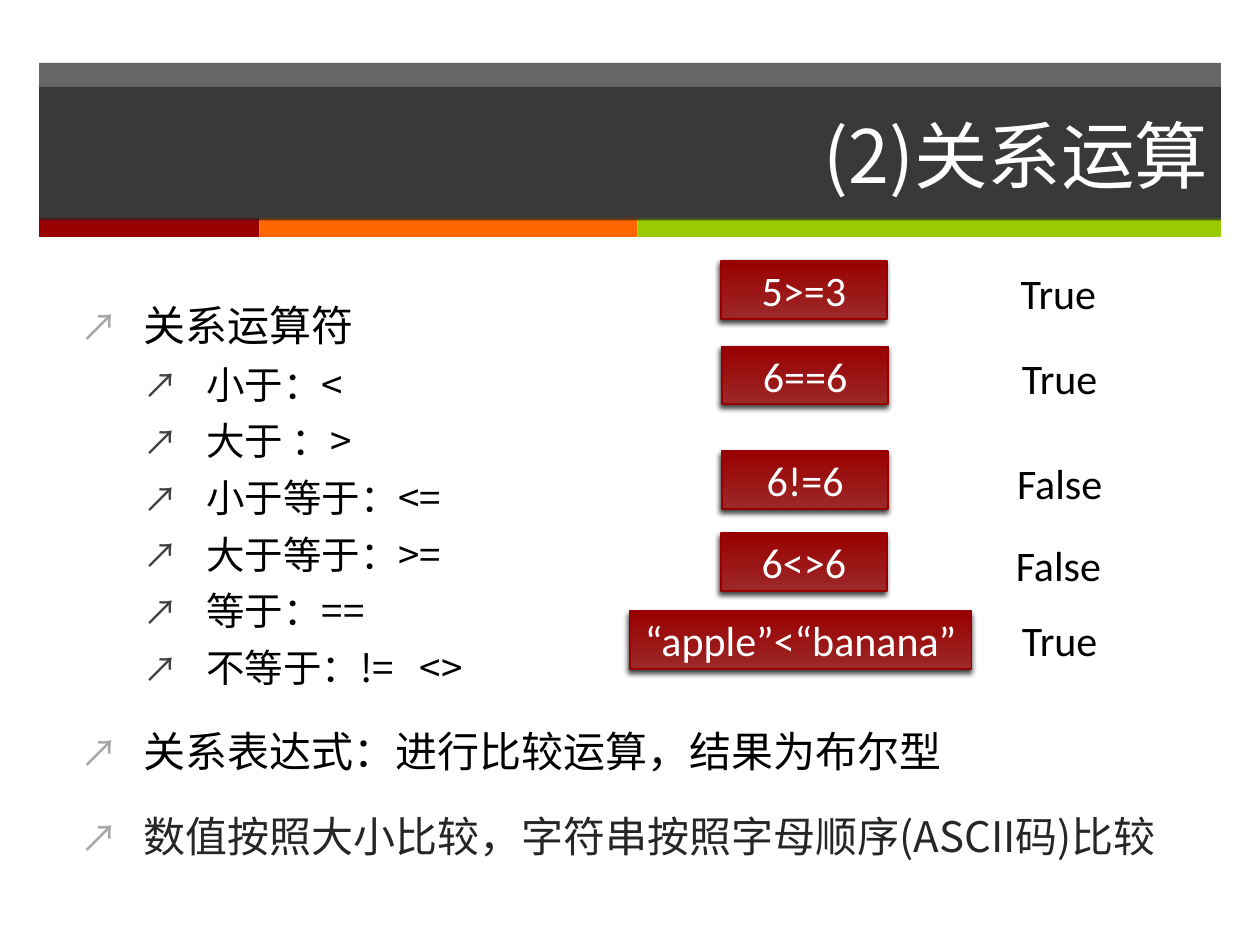
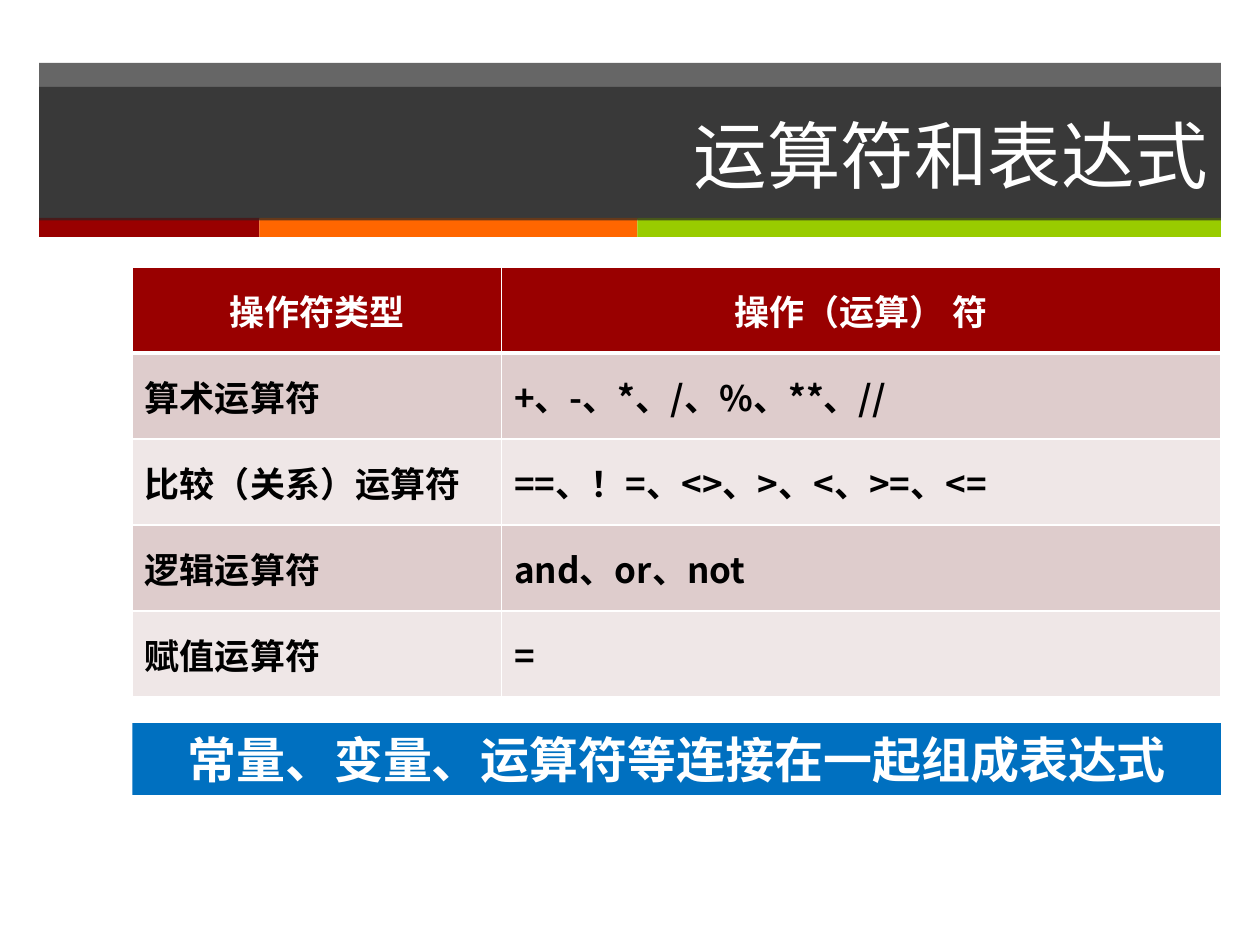
from typing import NamedTuple

from lxml.etree import SubElement
from pptx import Presentation
from pptx.dml.color import RGBColor
from pptx.enum.shapes import MSO_SHAPE as Preset
from pptx.enum.text import MSO_ANCHOR as Anchor, MSO_AUTO_SIZE as AutoSize, PP_ALIGN as Align
from pptx.oxml.ns import qn
from pptx.util import Inches, Pt

WHITE = RGBColor(0xFF, 0xFF, 0xFF)
BLACK = RGBColor(0x00, 0x00, 0x00)
CHARCOAL = RGBColor(0x26, 0x26, 0x26)
RED = RGBColor(0x99, 0x00, 0x00)
SOFT_RED = RGBColor(0x9D, 0x28, 0x28)
EDGE_RED = RGBColor(0x96, 0x00, 0x00)
ORANGE = RGBColor(0xFF, 0x66, 0x00)
GREEN = RGBColor(0x99, 0xCC, 0x00)
BLUE = RGBColor(0x00, 0x70, 0xC0)
ROW_DARK = RGBColor(0xDE, 0xCC, 0xCC)
ROW_LIGHT = RGBColor(0xEF, 0xE7, 0xE7)

CJK = "Noto Sans CJK SC"
LATIN = "Calibri"
LEFT, WIDTH = 0.31, 9.38
BAND_ALPHA = 70


class Box(NamedTuple):
    left: float
    top: float
    width: float
    height: float

    def lengths(self) -> list:
        return [Inches(value) for value in self]


class Level(NamedTuple):
    depth: int
    size: int
    space_before: int
    bullet_color: str


class Bullet(NamedTuple):
    text: str
    level: Level
    color: RGBColor = BLACK


class Comparison(NamedTuple):
    expression: str
    expression_box: Box
    result: str
    result_left: float
    result_top: float


TITLE_BOX = Box(LEFT, 0.69, WIDTH, 1.06)
STRIPES = [(RED, 1.75), (ORANGE, 3), (GREEN, 4.63)]

TOPIC = Level(0, 24, 20, "A6A6A6")
DETAIL = Level(1, 22, 6, "404040")
BULLETS = [
    Bullet("关系运算符", TOPIC),
    Bullet("小于：<", DETAIL),
    Bullet("大于 ：>", DETAIL),
    Bullet("小于等于：<=", DETAIL),
    Bullet("大于等于：>=", DETAIL),
    Bullet("等于：==", DETAIL),
    Bullet("不等于：!=   <>", DETAIL),
    Bullet("关系表达式：进行比较运算，结果为布尔型", TOPIC),
    Bullet("数值按照大小比较，字符串按照字母顺序(ASCII码)比较", TOPIC, CHARCOAL),
]

COMPARISONS = [
    Comparison("5>=3", Box(5.72, 2.07, 1.32, 0.46), "True", 7.74, 2.09),
    Comparison("6==6", Box(5.73, 2.75, 1.32, 0.46), "True", 7.75, 2.77),
    Comparison("6!=6", Box(5.73, 3.58, 1.32, 0.46), "False", 7.75, 3.6),
    Comparison("6<>6", Box(5.72, 4.23, 1.32, 0.46), "False", 7.74, 4.25),
    Comparison("“apple”<“banana”", Box(5, 4.85, 2.71, 0.46), "True", 7.75, 4.85),
]

OPERATORS = [
    ("操作符类型", "操作（运算） 符"),
    ("算术运算符", "+、-、*、/、%、**、//"),
    ("比较（关系）运算符", "==、！=、<>、>、<、>=、<="),
    ("逻辑运算符", "and、or、not"),
    ("赋值运算符", "="),
]
COLUMN_WIDTHS = [2.93, 5.71]


def write(paragraph, text: str, size: int, color: RGBColor,
          font: str = CJK, bold: bool = False) -> None:
    run = paragraph.add_run()
    run.text = text
    for name, value in {"size": Pt(size), "name": font, "bold": bold}.items():
        setattr(run.font, name, value)
    run.font.color.rgb = color
    SubElement(run.font._element, qn("a:ea"), typeface=font)


def fill_solid(shape, color: RGBColor, alpha: int = 100) -> None:
    shape.fill.solid()
    shape.fill.fore_color.rgb = color
    if alpha < 100:
        rgb = shape._element.spPr.find(qn("a:solidFill"))[0]
        SubElement(rgb, qn("a:alpha"), val=str(alpha * 1000))


def add_block(slide, box: Box, color: RGBColor, alpha: int = 100):
    block = slide.shapes.add_shape(Preset.RECTANGLE, *box.lengths())
    block.shadow.inherit = False
    block.line.fill.background()
    fill_solid(block, color, alpha)
    return block


def add_label(slide, box: Box, color: RGBColor, text: str, size: int,
              text_color: RGBColor, font: str = CJK, bold: bool = False):
    label = add_block(slide, box, color)
    frame = label.text_frame
    frame.word_wrap = False
    frame.vertical_anchor = Anchor.MIDDLE
    frame.paragraphs[0].alignment = Align.CENTER
    write(frame.paragraphs[0], text, size, text_color, font, bold)
    return label


def move_bands_to_layout(slide) -> None:
    """Draw the header bands and put them behind the layout's placeholders."""
    bands = [add_block(slide, Box(LEFT, 0.5, WIDTH, 1.24), CHARCOAL, BAND_ALPHA)]
    left = LEFT
    for color, width in STRIPES:
        bands.append(add_block(slide, Box(left, 1.73, width, 0.15), color))
        left += width
    layout_tree = slide.slide_layout.shapes._spTree
    for position, band in enumerate(bands, start=2):
        layout_tree.insert(position, band._element)


def add_titled_slide(deck, text: str):
    slide = deck.slides.add_slide(deck.slide_layouts[5])
    title = slide.shapes.title
    for name, value in zip(("left", "top", "width", "height"), TITLE_BOX.lengths()):
        setattr(title, name, value)
    fill_solid(title, CHARCOAL, BAND_ALPHA)
    frame = title.text_frame
    frame.auto_size = AutoSize.NONE
    frame.vertical_anchor = Anchor.MIDDLE
    frame.paragraphs[0].alignment = Align.RIGHT
    write(frame.paragraphs[0], text, 42, WHITE)
    return slide


def add_bullets(slide) -> None:
    body = slide.shapes.add_textbox(*Box(0.54, 2.33, 9.15, 4.8).lengths())
    frame = body.text_frame
    frame.word_wrap = True
    for index, (text, level, color) in enumerate(BULLETS):
        paragraph = frame.add_paragraph() if index else frame.paragraphs[0]
        paragraph.level = level.depth
        if index:
            paragraph.space_before = Pt(level.space_before)
        properties = paragraph._p.get_or_add_pPr()
        properties.set("marL", str(Inches(0.5 * (level.depth + 1))))
        properties.set("indent", str(Inches(-0.5)))
        bullet_color = SubElement(properties, qn("a:buClr"))
        SubElement(bullet_color, qn("a:srgbClr"), val=level.bullet_color)
        SubElement(properties, qn("a:buSzPct"), val="90000")
        SubElement(properties, qn("a:buFont"), typeface=CJK)
        SubElement(properties, qn("a:buChar"), char="↗")
        write(paragraph, text, level.size, color)


def add_comparison(slide, comparison: Comparison) -> None:
    expression = add_label(slide, comparison.expression_box, RED,
                           comparison.expression, 24, WHITE, LATIN)
    expression.fill.gradient()
    expression.fill.gradient_angle = 90
    for stop, color in zip(expression.fill.gradient_stops, (SOFT_RED, RED)):
        stop.color.rgb = color
    expression.line.color.rgb = EDGE_RED
    expression.line.width = Pt(1)
    effects = expression._element.spPr.find(qn("a:effectLst"))
    shadow = SubElement(effects, qn("a:outerShdw"), blurRad=str(Pt(3)), dist=str(Pt(2)),
                        dir=str(110 * 60000), rotWithShape="0")
    shade = SubElement(shadow, qn("a:srgbClr"), val=str(BLACK))
    SubElement(shade, qn("a:alpha"), val="75000")

    result_box = Box(comparison.result_left, comparison.result_top, 1.32, 0.46)
    add_label(slide, result_box, WHITE, comparison.result, 24, BLACK, LATIN)


def set_borders(cell, bottom_width: int) -> None:
    properties = cell._tc.get_or_add_tcPr()
    widths = {"a:lnL": 1, "a:lnR": 1, "a:lnT": 1, "a:lnB": bottom_width}
    for position, (side, width) in enumerate(widths.items()):
        border = SubElement(properties, qn(side), w=str(Pt(width)))
        paint = SubElement(border, qn("a:solidFill"))
        SubElement(paint, qn("a:srgbClr"), val=str(WHITE))
        properties.insert(position, border)


def add_operator_table(slide) -> None:
    box = Box(1.05, 2.12, sum(COLUMN_WIDTHS), 3.41)
    table = slide.shapes.add_table(len(OPERATORS), len(COLUMN_WIDTHS), *box.lengths()).table
    for column, width in zip(table.columns, COLUMN_WIDTHS):
        column.width = Inches(width)
    for row, texts in enumerate(OPERATORS):
        header = row == 0
        color = RED if header else ROW_DARK if row % 2 else ROW_LIGHT
        for column, text in enumerate(texts):
            cell = table.cell(row, column)
            cell.fill.solid()
            cell.fill.fore_color.rgb = color
            cell.vertical_anchor = Anchor.MIDDLE
            set_borders(cell, 3 if header else 1)
            paragraph = cell.text_frame.paragraphs[0]
            paragraph.alignment = Align.CENTER if header else Align.LEFT
            write(paragraph, text, 20, WHITE if header else BLACK, bold=True)


def main() -> None:
    deck = Presentation()
    deck.slide_width, deck.slide_height = Inches(10), Inches(7.5)

    relations = add_titled_slide(deck, "(2)关系运算")
    move_bands_to_layout(relations)
    add_bullets(relations)
    for comparison in COMPARISONS:
        add_comparison(relations, comparison)

    overview = add_titled_slide(deck, "运算符和表达式")
    add_operator_table(overview)
    add_label(overview, Box(1.05, 5.74, 8.64, 0.57), BLUE,
              "常量、变量、运算符等连接在一起组成表达式", 28, WHITE, bold=True)

    deck.save("out.pptx")


if __name__ == "__main__":
    main()
